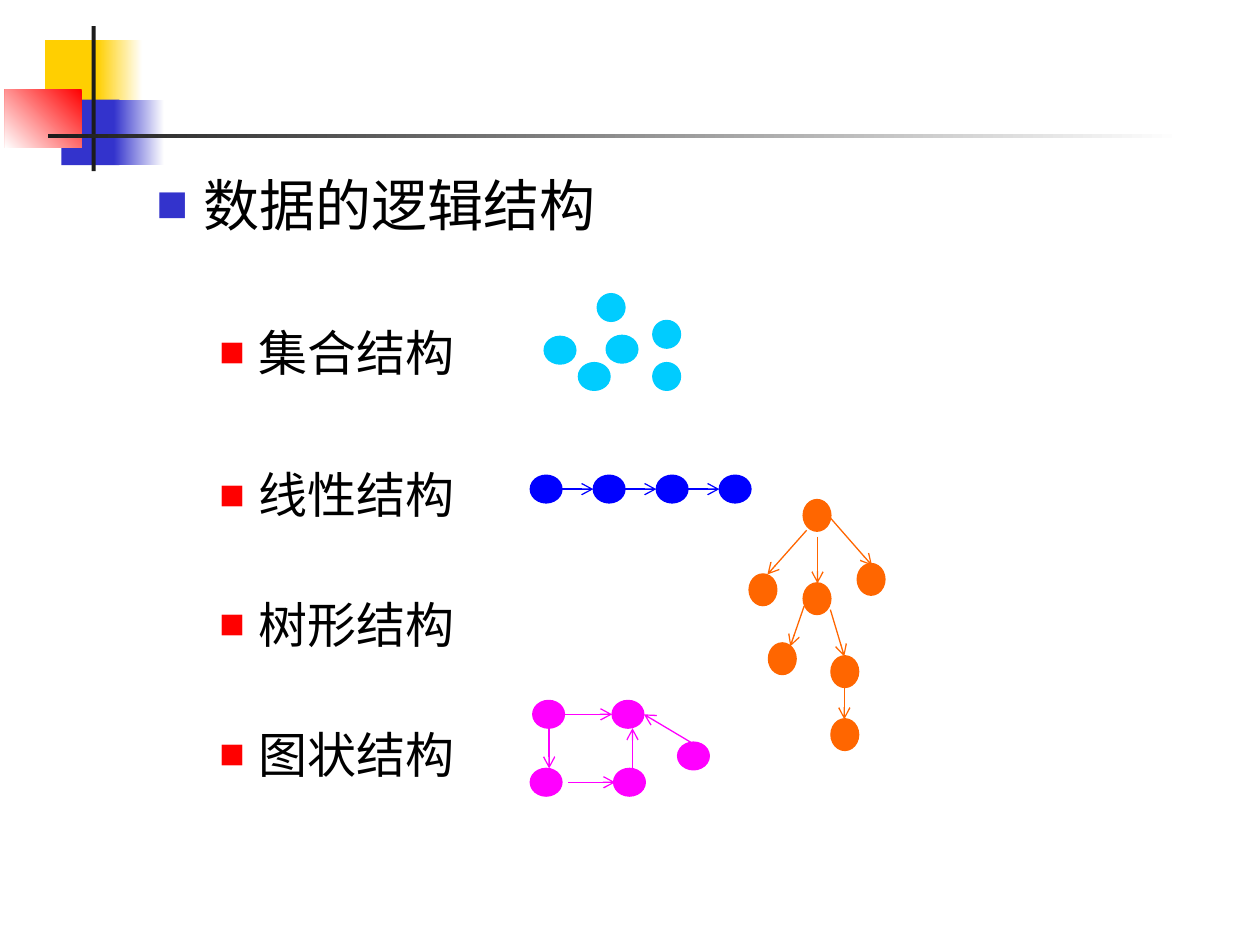
from dataclasses import dataclass

from lxml import etree
from pptx import Presentation
from pptx import util as u
from pptx.dml.color import RGBColor
from pptx.enum import shapes, text
from pptx.oxml import ns


@dataclass(frozen=True)
class Theme:
    font: str = "Karla"
    heading_size: int = 32
    item_size: int = 28
    line_width: float = 0.75
    ink: str = "000000"
    white: str = "FFFFFF"
    yellow: str = "FFCF01"
    indigo: str = "3333CC"
    red: str = "FF0000"
    charcoal: str = "1C1C1C"
    cyan: str = "00CCFF"
    blue: str = "0000FF"
    orange: str = "FF6600"
    magenta: str = "FF00FF"


def colour(code):
    return RGBColor.from_string(code)


def lengths(*values):
    return [u.Cm(value) for value in values]


def add_element(parent, tag, **attributes):
    return etree.SubElement(parent, ns.qn(tag), attributes)


class Sketch:
    """Holds the theme and the slide being drawn."""

    def __init__(self, slide, theme):
        self.slide = slide
        self.theme = theme

    def block(self, frame, start, end=None, angle=0):
        """Borderless rectangle, fading from start to end when end is given."""
        box = self.slide.shapes.add_shape(shapes.MSO_SHAPE.RECTANGLE, *lengths(*frame))
        box.shadow.inherit = False
        box.line.fill.background()
        if end is None:
            box.fill.solid()
            box.fill.fore_color.rgb = colour(start)
            return
        box.fill.gradient()
        box.fill.gradient_angle = angle
        for stop, position, code in zip(box.fill.gradient_stops, (0, 1), (start, end)):
            stop.position = position
            stop.color.rgb = colour(code)

    def node(self, group, centre, code, width=0.64, height=0.56, turn=0):
        x, y = centre
        frame = lengths(x - width / 2, y - height / 2, width, height)
        oval = group.shapes.add_shape(shapes.MSO_SHAPE.OVAL, *frame)
        oval.shadow.inherit = False
        oval.rotation = turn
        oval.fill.solid()
        oval.fill.fore_color.rgb = oval.line.color.rgb = colour(code)
        oval.line.width = u.Pt(self.theme.line_width)

    def arrow(self, group, start, end, code):
        arrow = group.shapes.add_connector(
            shapes.MSO_CONNECTOR.STRAIGHT, *lengths(*start, *end))
        arrow.line.color.rgb = colour(code)
        arrow.line.width = u.Pt(self.theme.line_width)
        add_element(arrow.line._get_or_add_ln(), "a:tailEnd", type="arrow")
        add_element(arrow._element.spPr, "a:effectLst")

    def diagram(self, code, nodes, arrows=(), **node_style):
        group = self.slide.shapes.add_group_shape()
        for centre in nodes:
            self.node(group, centre, code, **node_style)
        for start, end in arrows:
            self.arrow(group, start, end, code)
        return group

    def bullet(self, para, margin, hanging, code, percent):
        props = para._p.get_or_add_pPr()
        props.set("marL", str(u.Cm(margin)))
        props.set("indent", str(-u.Cm(hanging)))
        add_element(add_element(props, "a:buClr"), "a:srgbClr", val=code)
        add_element(props, "a:buSzPct", val=str(percent * 1000))
        add_element(props, "a:buFont", typeface=self.theme.font)
        add_element(props, "a:buChar", char="■")

    def outline(self, box, frame, heading, items):
        """Heading, then (wording, points of space before) for each item."""
        theme = self.theme
        box.left, box.top, box.width, box.height = lengths(*frame)
        body = box.text_frame
        body.word_wrap = True
        body.auto_size = text.MSO_AUTO_SIZE.NONE
        body.vertical_anchor = text.MSO_ANCHOR.TOP
        for index, (wording, gap) in enumerate([(heading, 0), *items]):
            para = body.add_paragraph() if index else body.paragraphs[0]
            if index:
                para.level = 1
                self.bullet(para, 2.06, 0.79, theme.red, 55)
            else:
                self.bullet(para, 0.95, 0.95, theme.indigo, 60)
            para.space_before = u.Pt(gap)
            span = para.add_run()
            span.text = wording
            span.font.name = theme.font
            span.font.size = u.Pt(theme.item_size if index else theme.heading_size)
            span.font.color.rgb = colour(theme.ink)


def draw_ornament(sketch):
    theme = sketch.theme
    sketch.block((0.91, 0.81, 1.22, 1.32), theme.yellow)
    sketch.block((1.96, 0.81, 0.91, 1.32), theme.yellow, theme.white)
    sketch.block((1.24, 2.01, 1.17, 1.32), theme.indigo)
    sketch.block((2.29, 2.01, 1.02, 1.32), theme.indigo, theme.white)
    sketch.block((0.1, 1.8, 1.55, 1.18), theme.red, theme.white, angle=225)
    sketch.block((1.85, 0.53, 0.08, 2.92), theme.charcoal)
    sketch.block((0.97, 2.71, 22.86, 0.08), theme.charcoal, theme.white)


def draw_structures(sketch):
    theme = sketch.theme
    scatter = sketch.diagram(theme.cyan, [(12.54, 7.04), (11.98, 7.59), (11.29, 7.06)])
    for centre in [(13.44, 7.59), (13.44, 6.74), (12.32, 6.2)]:
        sketch.node(scatter, centre, theme.cyan, width=0.56)

    chain = [(11.01 + 1.27 * step, 9.86) for step in range(4)]
    links = [((x + 0.32, y), (next_x - 0.32, y))
             for (x, y), (next_x, _) in zip(chain, chain[1:])]
    sketch.diagram(theme.blue, chain, links)

    sketch.diagram(
        theme.orange,
        [(16.47, 10.39), (17.56, 11.68), (16.47, 12.07), (15.38, 11.89),
         (17.03, 13.54), (15.77, 13.28), (17.03, 14.81)],
        [((16.48, 10.82), (16.48, 11.76)), ((16.74, 10.44), (17.58, 11.4)),
         ((16.26, 10.69), (15.47, 11.58)), ((16.74, 12.29), (17.02, 13.23)),
         ((16.21, 12.22), (15.93, 13.03)), ((17.02, 13.87), (17.02, 14.5))],
        turn=90)

    sketch.diagram(
        theme.magenta,
        [(11.01, 15.77), (11.06, 14.4), (12.69, 15.77), (12.66, 14.4), (13.98, 15.24)],
        [((11.46, 15.77), (12.4, 15.77)), ((11.38, 14.4), (12.34, 14.4)),
         ((11.07, 14.68), (11.07, 15.49)), ((12.75, 15.49), (12.75, 14.68)),
         ((13.92, 14.96), (12.98, 14.4))])


def main():
    deck = Presentation()
    deck.slide_width, deck.slide_height = lengths(25.4, 19.05)
    page = deck.slides.add_slide(deck.slide_layouts.get_by_name("Title and Content"))
    title = page.shapes.title._element
    title.getparent().remove(title)
    sketch = Sketch(page, Theme())
    draw_ornament(sketch)
    sketch.outline(
        page.placeholders[1], (2.9, 3.3, 21.97, 14.83), "数据的逻辑结构",
        [("集合结构", 48.5), ("线性结构", 48), ("树形结构", 40.5), ("图状结构", 40.5)])
    draw_structures(sketch)
    deck.save("out.pptx")


if __name__ == "__main__":
    main()
